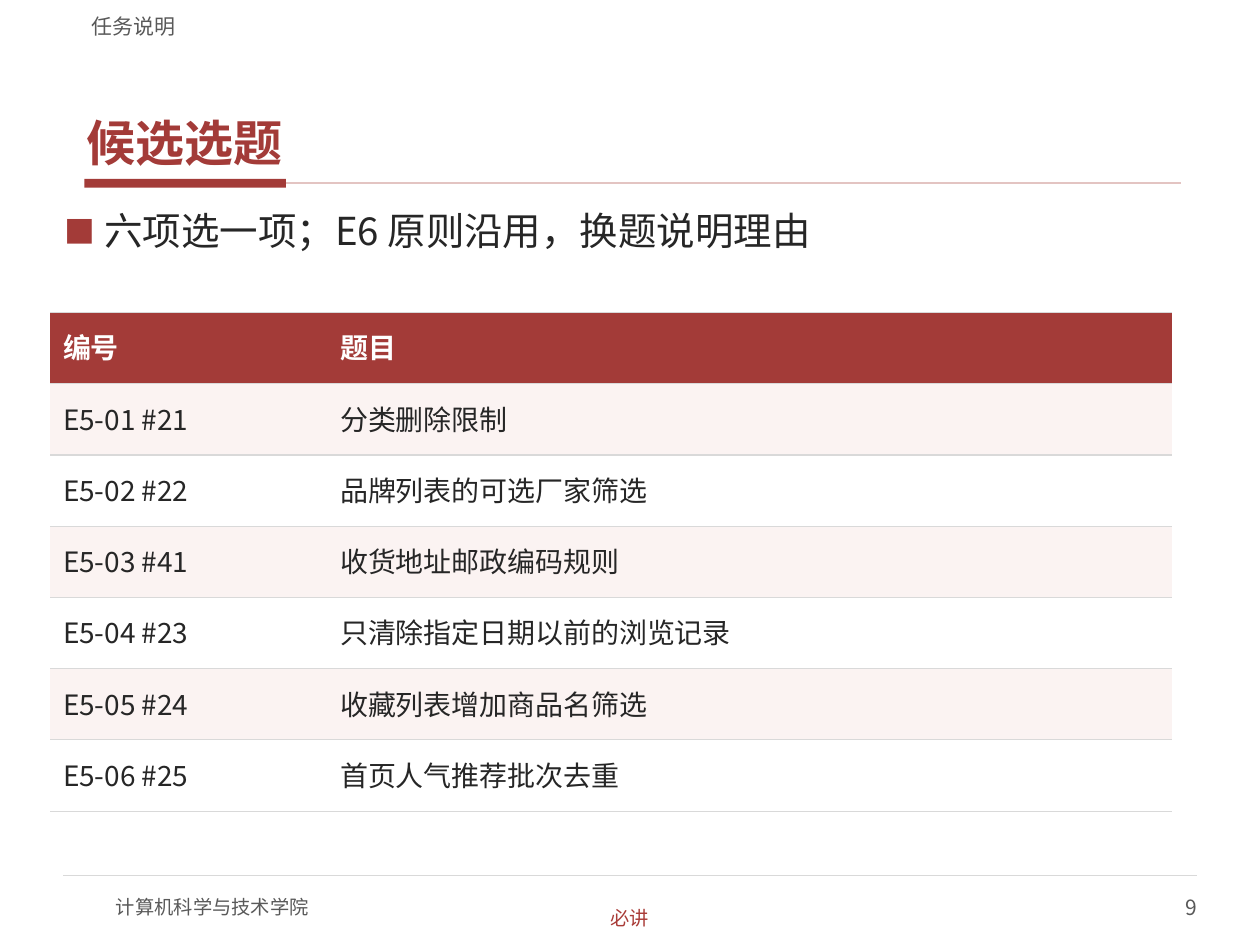
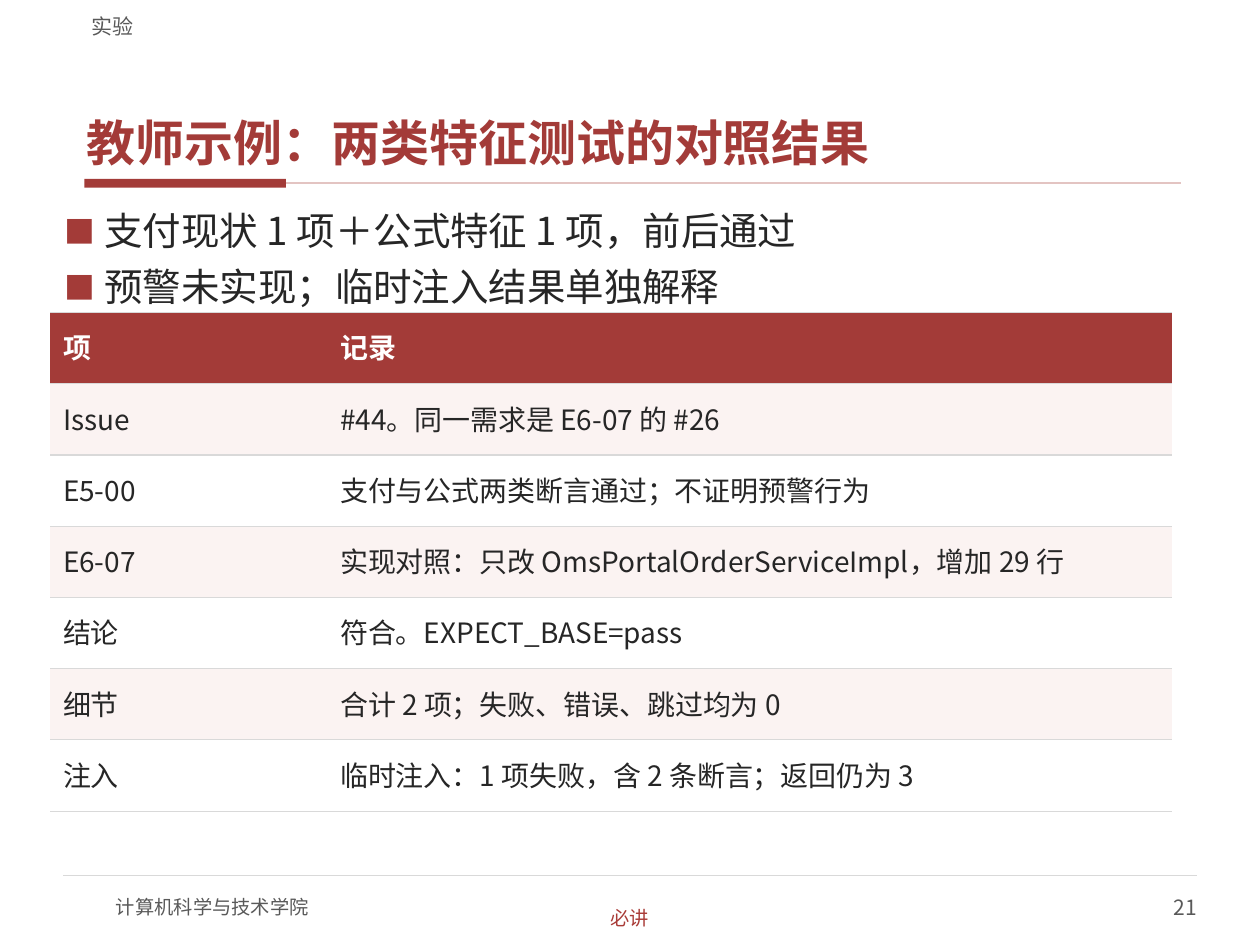
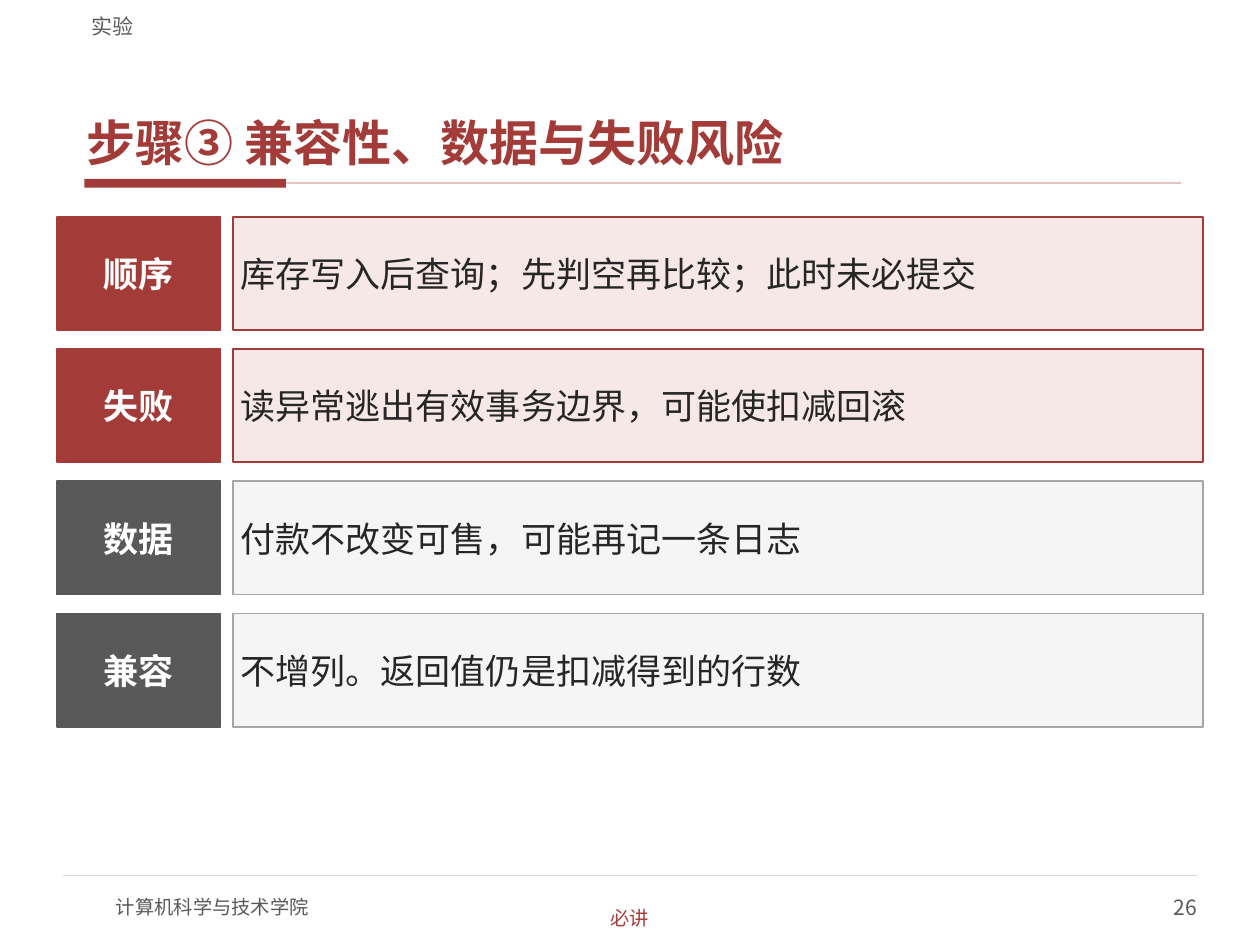
from typing import NamedTuple

from lxml import etree
from pptx import Presentation
from pptx.dml.color import RGBColor
from pptx.enum.shapes import MSO_CONNECTOR, MSO_SHAPE
from pptx.enum.text import MSO_ANCHOR, MSO_AUTO_SIZE, PP_ALIGN
from pptx.oxml.ns import qn
from pptx.util import Inches, Pt

LEFT, CENTER, RIGHT = PP_ALIGN.LEFT, PP_ALIGN.CENTER, PP_ALIGN.RIGHT
TOP, MIDDLE, BOTTOM = MSO_ANCHOR.TOP, MSO_ANCHOR.MIDDLE, MSO_ANCHOR.BOTTOM
RECTANGLE, STRAIGHT = MSO_SHAPE.RECTANGLE, MSO_CONNECTOR.STRAIGHT

FONT = "Noto Sans CJK SC"
COLORS = {
    "red": "A33B38",
    "tag": "A93B37",
    "pale_red": "F6E8E6",
    "band": "FBF3F2",
    "title_rule": "E3C4C2",
    "text": "262626",
    "gray": "595959",
    "mid_gray": "A6A6A6",
    "pale_gray": "F5F5F5",
    "border": "D9D9D9",
    "white": "FFFFFF",
}
CARD_STYLES = {
    "risk": {"label": "red", "body": "pale_red", "outline": "red"},
    "neutral": {"label": "gray", "body": "pale_gray", "outline": "mid_gray"},
}


class Box(NamedTuple):
    """A rectangle in inches."""
    left: float
    top: float
    width: float
    height: float

    def lengths(self):
        return [Inches(value) for value in self]


SLIDE = Box(0, 0, 10, 7.5)
HEADER = Box(0.63, 0.04, 8.75, 0.27)
TITLE = Box(0.63, 0.33, 8.75, 1.05)
TITLE_RULE = Box(0.67, 1.42, 8.7, 0.07)
BULLETS = Box(0.45, 1.62, 9.1, 0.78)
TABLE = Box(0.4, 2.48, 8.9, 3.96)
CARDS = Box(0.45, 1.72, 9.1, 4.05)
FOOTER = Box(0.5, 6.95, 9, 0.55)


def color(name):
    return RGBColor.from_string(COLORS[name])


def add_element(parent, tag, **attributes):
    return etree.SubElement(parent, qn(tag), attributes)


def add_bullet(paragraph):
    properties = paragraph._p.get_or_add_pPr()
    properties.set("marL", str(Inches(0.32)))
    properties.set("indent", str(-Inches(0.32)))
    add_element(add_element(properties, "a:buClr"), "a:srgbClr", val=COLORS["red"])
    add_element(properties, "a:buSzPct", val="80000")
    add_element(properties, "a:buFont", typeface=FONT)
    add_element(properties, "a:buChar", char="■")


def write(frame, text, size=16, ink="text", bold=False, align=LEFT, anchor=MIDDLE,
          margins=(0, 0), wrap=True, bullet=False, before=0, after=0, spacing=None):
    """Fill a text frame, one paragraph for each line of text."""
    frame.auto_size = MSO_AUTO_SIZE.NONE
    frame.word_wrap = wrap
    frame.vertical_anchor = anchor
    frame.margin_left = frame.margin_right = Inches(margins[0])
    frame.margin_top = frame.margin_bottom = Inches(margins[1])
    for index, line in enumerate(text.split("\n")):
        paragraph = frame.add_paragraph() if index else frame.paragraphs[0]
        if bullet:
            add_bullet(paragraph)
        paragraph.alignment = align
        paragraph.space_before = Pt(before if index else 0)
        paragraph.space_after = Pt(after)
        if spacing:
            paragraph.line_spacing = spacing
        run = paragraph.add_run()
        run.text = line
        font = run.font
        font.size, font.bold, font.name = Pt(size), bold, FONT
        font.color.rgb = color(ink)
        add_element(run._r.get_or_add_rPr(), "a:ea", typeface=FONT)


def add_text(slide, box, text, **text_format):
    write(slide.shapes.add_textbox(*box.lengths()).text_frame, text, **text_format)


def add_rectangle(slide, box, fill, outline=None):
    shape = slide.shapes.add_shape(RECTANGLE, *box.lengths())
    shape.shadow.inherit = False
    shape.fill.solid()
    shape.fill.fore_color.rgb = color(fill)
    if outline:
        shape.line.color.rgb = color(outline)
        shape.line.width = Pt(1)
    else:
        shape.line.fill.background()
    return shape


def add_rule(slide, left, right, y, ink, width):
    rule = slide.shapes.add_connector(STRAIGHT, *map(Inches, (left, y, right, y)))
    rule.line.color.rgb = color(ink)
    rule.line.width = Pt(width)
    add_element(rule._element.spPr, "a:effectLst")


def add_title(slide, box, text):
    title = slide.shapes.title
    title.left, title.top, title.width, title.height = box.lengths()
    write(title.text_frame, text, size=28, ink="red", bold=True, anchor=BOTTOM,
          margins=(0.06, 0.02), after=2)


def add_title_rule(slide, box):
    accent = box._replace(width=1.6)
    add_rectangle(slide, accent, "red")
    add_rule(slide, accent.left + accent.width, box.left + box.width,
             box.top + box.height / 2, "title_rule", 1)


def add_footer(slide, box, number):
    right = box.left + box.width
    line = Box(box.left + 0.42, box.top + 0.05, 4, 0.4)
    add_rule(slide, box.left, right, box.top, "border", 0.75)
    add_text(slide, line, "计算机科学与技术学院", size=11, ink="gray")
    add_text(slide, line._replace(left=right - 2, width=2), str(number),
             size=12, ink="gray", align=RIGHT)
    tag = Box(box.left + box.width / 2 - 0.6, box.top + 0.23, 1.2, 0.21)
    add_text(slide, tag, "必讲", size=11, ink="tag", align=CENTER, wrap=False)


def add_slide(presentation, section, title, number):
    """Add a slide with the title, header and footer that all slides share."""
    slide = presentation.slides.add_slide(presentation.slide_layouts[5])
    add_title_rule(slide, TITLE_RULE)
    add_footer(slide, FOOTER, number)
    add_title(slide, TITLE, title)
    add_text(slide, HEADER, section, size=12, ink="gray", anchor=BOTTOM, margins=(0.1, 0))
    return slide


def set_borders(cell):
    """Draw thin rules above and below a cell and none at its sides."""
    properties = cell._tc.get_or_add_tcPr()
    for side in ("a:lnL", "a:lnR"):
        add_element(add_element(properties, side, w="0"), "a:noFill")
    for side in ("a:lnT", "a:lnB"):
        line = add_element(properties, side, w=str(Pt(0.75)))
        add_element(add_element(line, "a:solidFill"), "a:srgbClr", val=COLORS["border"])


def add_record_table(slide, box, records):
    table = slide.shapes.add_table(len(records), 2, *box.lengths()).table
    table.horz_banding = False
    for column, width in zip(table.columns, (2.2, box.width - 2.2)):
        column.width = Inches(width)
    for row, record in enumerate(records):
        table.rows[row].height = Inches(box.height / len(records))
        header = row == 0
        fill = "red" if header else "band" if row % 2 else "white"
        for column, text in enumerate(record):
            cell = table.cell(row, column)
            set_borders(cell)
            cell.fill.solid()
            cell.fill.fore_color.rgb = color(fill)
            write(cell.text_frame, text, ink="white" if header else "text", bold=header,
                  margins=(0.1, 0.05), after=2, spacing=0.9)
            cell.vertical_anchor = MIDDLE


def add_cards(slide, box, cards, gap=0.15, label_width=1.3, label_gap=0.1):
    """Stack rows of a label and its statement."""
    height = (box.height - gap * (len(cards) - 1)) / len(cards)
    body_offset = label_width + label_gap
    for index, (style_name, label, statement) in enumerate(cards):
        style = CARD_STYLES[style_name]
        top = box.top + index * (height + gap)
        label_box = Box(box.left, top, label_width, height)
        body_box = Box(box.left + body_offset, top, box.width - body_offset, height)
        label_shape = add_rectangle(slide, label_box, style["label"], style["label"])
        write(label_shape.text_frame, label, size=20, ink="white", bold=True,
              align=CENTER, margins=(0.08, 0.04))
        body_shape = add_rectangle(slide, body_box, style["body"], style["outline"])
        write(body_shape.text_frame, statement, size=20, margins=(0.06, 0.03))


def build_table_slide(presentation, section, title, number, bullets, records):
    slide = add_slide(presentation, section, title, number)
    add_text(slide, BULLETS, "\n".join(bullets), size=22, anchor=TOP,
             margins=(0.06, 0.02), bullet=True, before=4, after=2)
    add_record_table(slide, TABLE, records)


def build_card_slide(presentation, section, title, number, cards):
    add_cards(add_slide(presentation, section, title, number), CARDS, cards)


def main():
    presentation = Presentation()
    presentation.slide_width = Inches(SLIDE.width)
    presentation.slide_height = Inches(SLIDE.height)

    build_table_slide(
        presentation, "任务说明", "候选选题", 9,
        ["六项选一项；E6 原则沿用，换题说明理由"],
        [("编号", "题目"),
         ("E5-01 #21", "分类删除限制"),
         ("E5-02 #22", "品牌列表的可选厂家筛选"),
         ("E5-03 #41", "收货地址邮政编码规则"),
         ("E5-04 #23", "只清除指定日期以前的浏览记录"),
         ("E5-05 #24", "收藏列表增加商品名筛选"),
         ("E5-06 #25", "首页人气推荐批次去重")])

    build_table_slide(
        presentation, "实验", "教师示例：两类特征测试的对照结果", 21,
        ["支付现状 1 项＋公式特征 1 项，前后通过", "预警未实现；临时注入结果单独解释"],
        [("项", "记录"),
         ("Issue", "#44。同一需求是 E6-07 的 #26"),
         ("E5-00", "支付与公式两类断言通过；不证明预警行为"),
         ("E6-07", "实现对照：只改 OmsPortalOrderServiceImpl，增加 29 行"),
         ("结论", "符合。EXPECT_BASE=pass"),
         ("细节", "合计 2 项；失败、错误、跳过均为 0"),
         ("注入", "临时注入：1 项失败，含 2 条断言；返回仍为 3")])

    build_card_slide(
        presentation, "实验", "步骤③ 兼容性、数据与失败风险", 26,
        [("risk", "顺序", "库存写入后查询；先判空再比较；此时未必提交"),
         ("risk", "失败", "读异常逃出有效事务边界，可能使扣减回滚"),
         ("neutral", "数据", "付款不改变可售，可能再记一条日志"),
         ("neutral", "兼容", "不增列。返回值仍是扣减得到的行数")])

    presentation.save("out.pptx")


if __name__ == "__main__":
    main()
